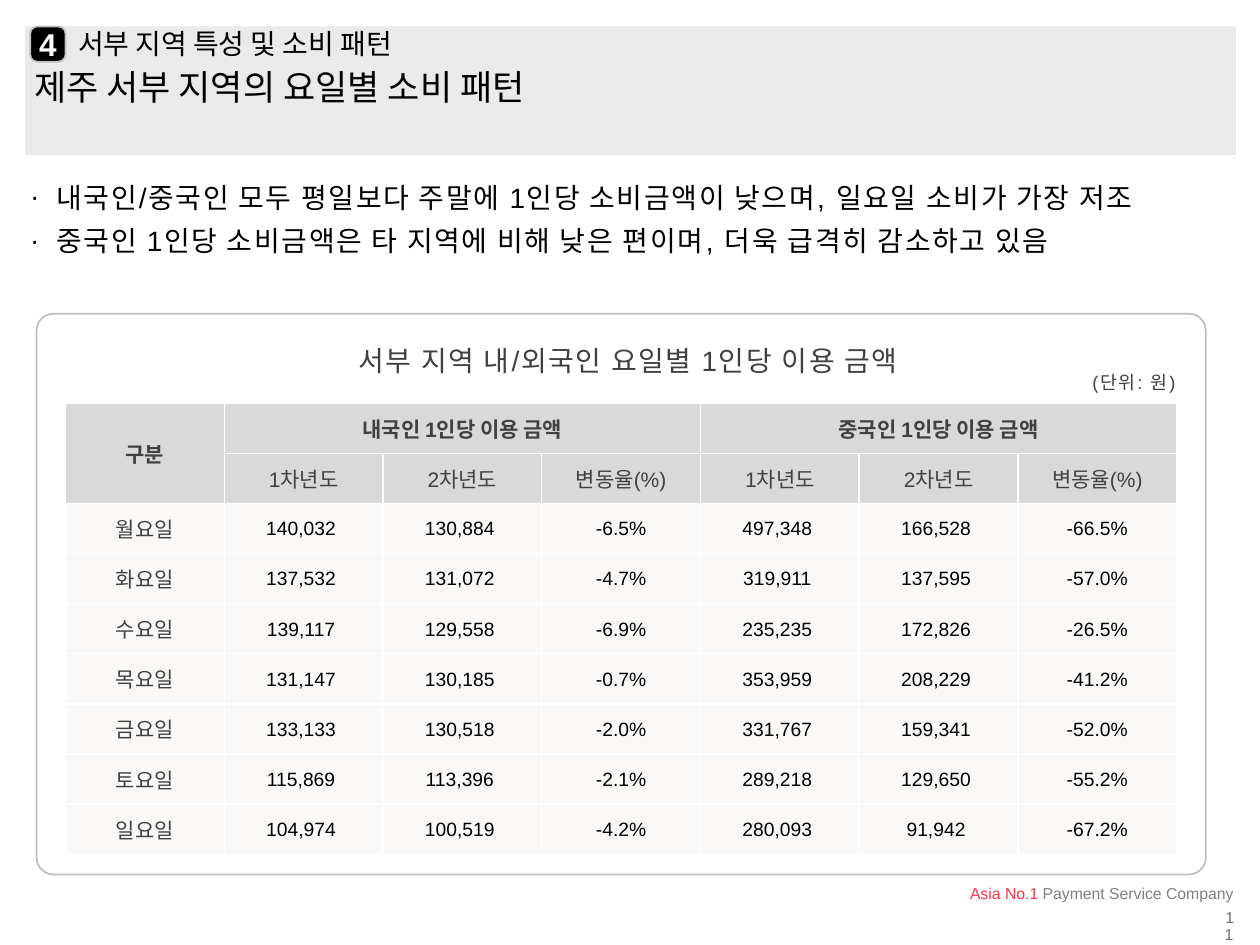
from dataclasses import dataclass

from lxml.etree import SubElement, fromstring
from pptx import Presentation
from pptx.dml.color import RGBColor
from pptx.enum.shapes import MSO_SHAPE as Shape
from pptx.enum.text import MSO_ANCHOR as Anchor, MSO_AUTO_SIZE as AutoSize, PP_ALIGN as Align
from pptx.oxml.ns import nsdecls, qn
from pptx.util import Inches, Pt


@dataclass(frozen=True)
class Theme:
    font: str = "Arial"
    ink: str = "000000"
    soft_ink: str = "404040"
    white: str = "FFFFFF"
    band: str = "EAEAEA"
    header: str = "D9D9D9"
    row: str = "F9F8F6"
    outline: str = "BFBFBF"
    accent: str = "FA3246"
    footer: str = "808080"
    page: str = "716D6D"
    heading: float = 20
    lead: float = 16
    badge: float = 18
    label: float = 12
    value: float = 11
    unit: float = 10.5
    small: float = 9


THEME = Theme()
WIDTH, HEIGHT = Inches(10), Inches(7.5)
COLUMNS, ROWS = 100, 75  # layout grid over the whole slide
NO_INSET = (0, 0, 0, 0)
TEXT_INSET = (0.08, 0.08, 0.08, 0.12)

YEARS = ["1차년도", "2차년도", "변동율(%)"]
GROUPS = ["내국인 1인당 이용 금액", "중국인 1인당 이용 금액"]
SPENDING = [
    ("월요일", "140,032", "130,884", "-6.5%", "497,348", "166,528", "-66.5%"),
    ("화요일", "137,532", "131,072", "-4.7%", "319,911", "137,595", "-57.0%"),
    ("수요일", "139,117", "129,558", "-6.9%", "235,235", "172,826", "-26.5%"),
    ("목요일", "131,147", "130,185", "-0.7%", "353,959", "208,229", "-41.2%"),
    ("금요일", "133,133", "130,518", "-2.0%", "331,767", "159,341", "-52.0%"),
    ("토요일", "115,869", "113,396", "-2.1%", "289,218", "129,650", "-55.2%"),
    ("일요일", "104,974", "100,519", "-4.2%", "280,093", "91,942", "-67.2%"),
]


def area(column, row, columns, rows):
    """Turn grid columns and rows into left, top, width and height."""
    across, down = WIDTH / COLUMNS, HEIGHT / ROWS
    return [round(n) for n in (column * across, row * down, columns * across, rows * down)]


def style_run(run, size, color, bold=False, spaced=False):
    font = run.font
    font.name, font.size, font.bold = THEME.font, Pt(size), bold
    font.color.rgb = RGBColor.from_string(color)
    if spaced:  # wide letters with a faint outline
        props = run._r.get_or_add_rPr()
        props.set("spc", "100")
        props.insert(0, fromstring(
            f'<a:ln {nsdecls("a")} w="9525"><a:solidFill><a:srgbClr val="{THEME.ink}">'
            '<a:alpha val="20000"/></a:srgbClr></a:solidFill></a:ln>'))


def write(box, text, size, color, inset=NO_INSET, align=Align.LEFT, anchor=Anchor.TOP,
          spacing=1.0, bold=False, spaced=False):
    frame = box.text_frame
    frame.text = text
    frame.word_wrap, frame.auto_size = True, AutoSize.NONE
    frame.vertical_anchor = anchor
    (frame.margin_left, frame.margin_top,
     frame.margin_right, frame.margin_bottom) = map(Inches, inset)
    for para in frame.paragraphs:
        para.alignment, para.line_spacing, para.space_before = align, spacing, Pt(0)
        for run in para.runs:
            style_run(run, size, color, bold, spaced)
    return frame


def set_bullets(frame, bullet=None, hang=0):
    for para in frame.paragraphs:
        props = para._p.get_or_add_pPr()
        props.set("marL", str(Inches(hang)))
        props.set("indent", str(-Inches(hang)))
        if bullet:
            SubElement(props, qn("a:buChar")).set("char", bullet)
        else:
            SubElement(props, qn("a:buNone"))


def place(placeholder, place_at):
    placeholder.left, placeholder.top, placeholder.width, placeholder.height = place_at
    return placeholder


def add_panel(page, kind, place_at, fill=None, line=None, corner=None):
    panel = page.shapes.add_shape(kind, *place_at)
    panel.shadow.inherit = False
    if corner is not None:
        panel.adjustments[0] = corner
    if fill:
        panel.fill.solid()
        panel.fill.fore_color.rgb = RGBColor.from_string(fill)
    else:
        panel.fill.background()
    if line:
        panel.line.color.rgb = RGBColor.from_string(line)
        panel.line.width = Pt(1)
    else:
        panel.line.fill.background()
    return panel


def add_text(page, place_at, text, size, color, **options):
    return write(page.shapes.add_textbox(*place_at), text, size, color, **options)


def fill_cell(cell, text, fill, size=THEME.label, color=THEME.soft_ink, bold=False):
    props = cell._tc.get_or_add_tcPr()
    for side in ("lnL", "lnR", "lnT", "lnB"):
        border = SubElement(props, qn(f"a:{side}"), w=str(Pt(1)))
        SubElement(SubElement(border, qn("a:solidFill")), qn("a:srgbClr"), val=THEME.white)
    cell.fill.solid()
    cell.fill.fore_color.rgb = RGBColor.from_string(fill)
    cell.vertical_anchor = Anchor.MIDDLE
    cell.text_frame.text = text
    para = cell.text_frame.paragraphs[0]
    para.alignment = Align.CENTER
    for run in para.runs:
        style_run(run, size, color, bold)


def add_spending_table(page, place_at):
    heads = [["구분", GROUPS[0], "", "", GROUPS[1], "", ""], [""] + YEARS * 2]
    count = len(heads) + len(SPENDING)
    table = page.shapes.add_table(count, len(heads[0]), *place_at).table
    table.first_row = table.horz_banding = False
    for r, texts in enumerate(heads):
        for c, text in enumerate(texts):
            fill_cell(table.cell(r, c), text, THEME.header, bold=r == 0)
    for r, (day, *values) in enumerate(SPENDING, len(heads)):
        fill_cell(table.cell(r, 0), day, THEME.row)
        for c, value in enumerate(values, 1):
            cell = table.cell(r, c)
            fill_cell(cell, value, THEME.row, THEME.value, THEME.ink)
            cell.margin_left = cell.margin_top = Inches(0.01)
            cell.margin_right = Inches(0.01 if value.endswith("%") else 0.05)
            cell.margin_bottom = 0
    table.cell(0, 0).merge(table.cell(1, 0))
    for first in (1, 4):
        table.cell(0, first).merge(table.cell(0, first + 2))


def add_headings(page):
    title, heading, findings = page.placeholders
    # Band lies behind the placeholders
    band = add_panel(page, Shape.RECTANGLE, area(2, 2.1, 96.1, 10.2), THEME.band)
    page.shapes._spTree.insert(2, band._element)

    write(place(title, area(2.5, 2.1, 89, 3)), "서부 지역 특성 및 소비 패턴", THEME.lead,
          THEME.ink, inset=(0.37, 0, 0, 0), anchor=Anchor.MIDDLE, spacing=0.9)
    set_bullets(write(place(heading, area(2.7, 5.6, 89, 3.1)),
                      "제주 서부 지역의 요일별 소비 패턴", THEME.heading, THEME.ink, spacing=0.9))
    badge = add_panel(page, Shape.ROUNDED_RECTANGLE, area(2.4, 2.1, 2.8, 2.8),
                      THEME.ink, THEME.outline, 0.2)
    write(badge, "4", THEME.badge, THEME.white, inset=(0, 0.08, 0, 0.08),
          align=Align.CENTER, anchor=Anchor.MIDDLE, bold=True)

    lines = ("내국인/중국인 모두 평일보다 주말에 1인당 소비금액이 낮으며, 일요일 소비가 가장 저조\n"
             "중국인 1인당 소비금액은 타 지역에 비해 낮은 편이며, 더욱 급격히 감소하고 있음")
    set_bullets(write(place(findings, area(1.6, 12.7, 94.1, 9.1)), lines, THEME.lead, THEME.ink,
                      inset=TEXT_INSET, spacing=1.3, spaced=True), "·", 0.21)


def add_footer(page):
    frame = add_text(page, area(70.7, 69.8, 28.3, 2.2), "Asia No.1 ", THEME.small, THEME.accent,
                     inset=(0.11, 0.06, 0.11, 0.06), align=Align.RIGHT, anchor=Anchor.MIDDLE)
    span = frame.paragraphs[0].add_run()
    span.text = "Payment Service Company"
    style_run(span, THEME.small, THEME.footer)
    add_text(page, area(97.2, 72.2, 0.7, 1.4), "11", THEME.small, THEME.page,
             align=Align.RIGHT, spacing=0.9)


def main():
    deck = Presentation()
    deck.slide_width, deck.slide_height = WIDTH, HEIGHT
    page = deck.slides.add_slide(deck.slide_layouts.get_by_name("Two Content"))
    add_headings(page)

    # Framed table with its caption and unit
    caption = dict(inset=TEXT_INSET, spacing=1.3, spaced=True)
    add_text(page, area(2.8, 25.7, 94.1, 3.9), "서부 지역 내/외국인 요일별 1인당 이용 금액",
             THEME.lead, THEME.soft_ink, align=Align.CENTER, **caption)
    add_spending_table(page, area(5.2, 32, 88.2, 35.8))
    add_panel(page, Shape.ROUNDED_RECTANGLE, area(2.9, 24.9, 92.8, 44.5),
              line=THEME.outline, corner=0.03)
    add_text(page, area(80.3, 28.1, 13.8, 4.7), "(단위: 원)", THEME.unit, THEME.soft_ink,
             align=Align.RIGHT, **caption)

    add_footer(page)
    deck.save("out.pptx")


if __name__ == "__main__":
    main()
